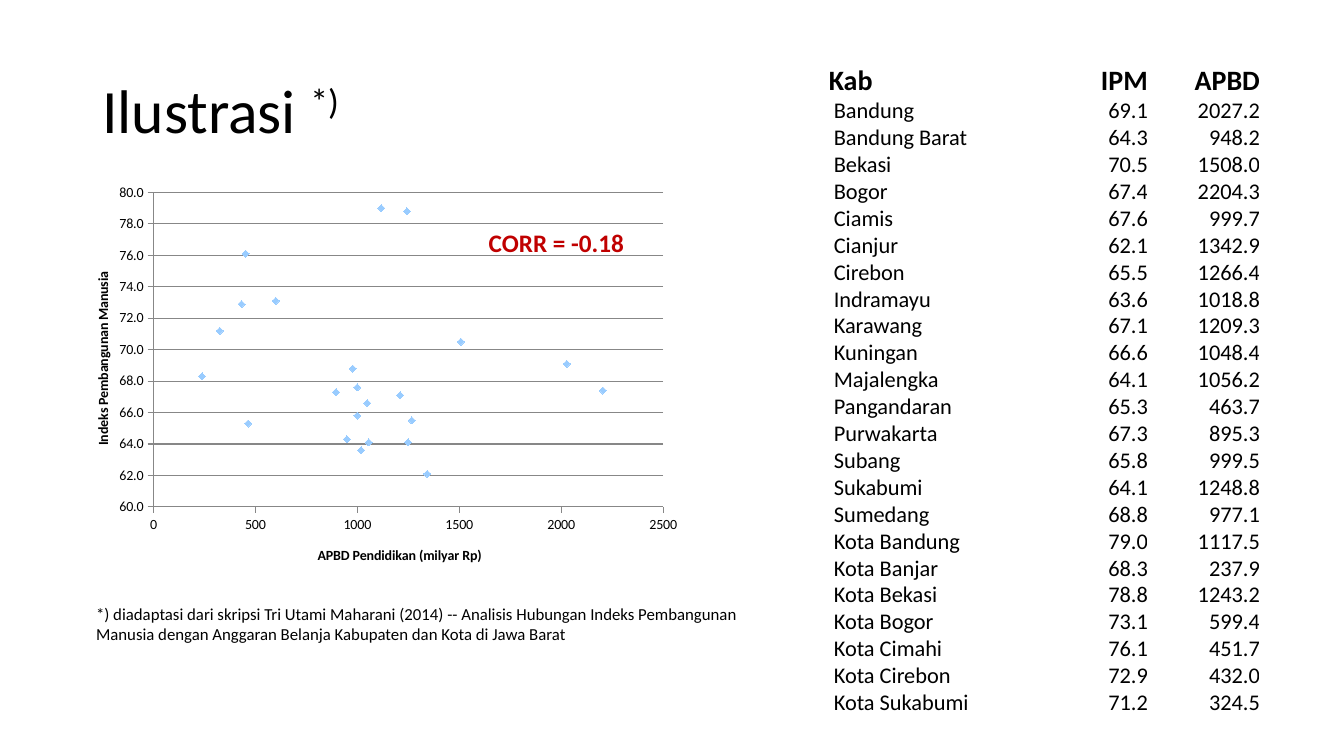
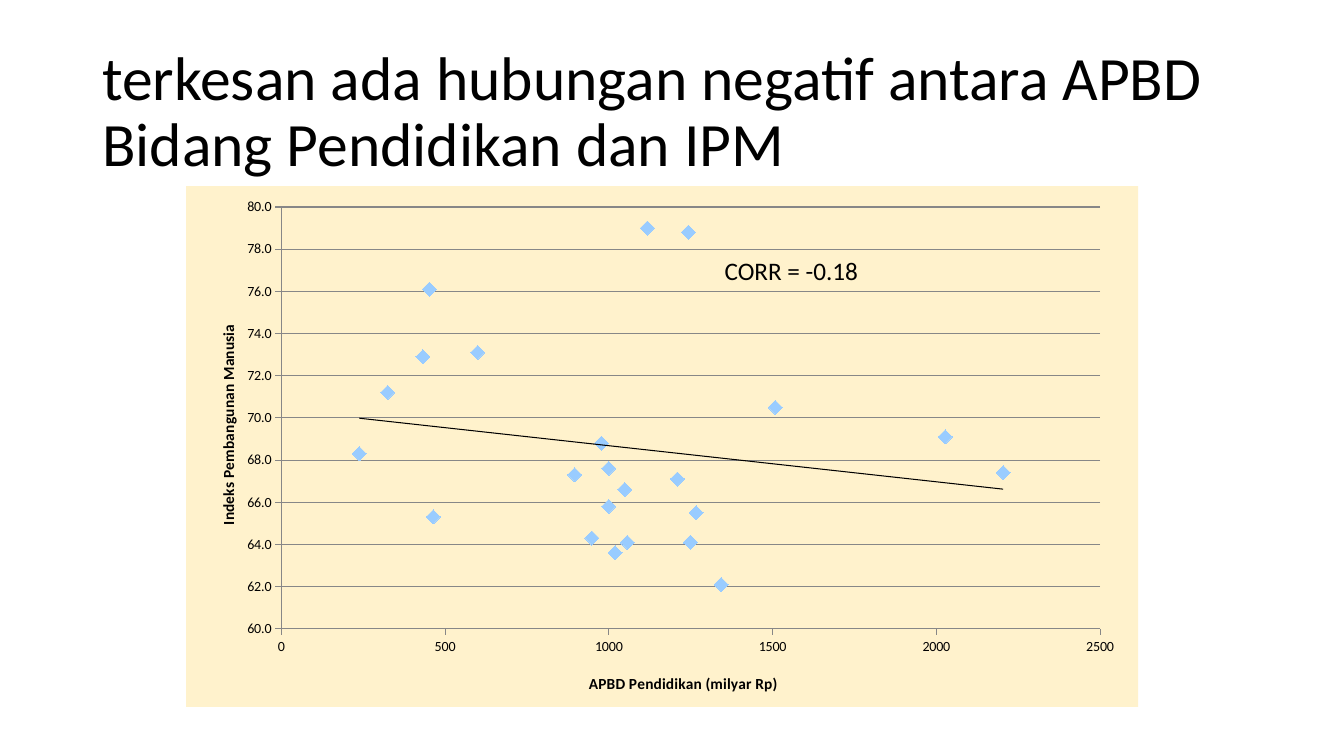
from collections import namedtuple

from lxml.etree import SubElement
from pptx import Presentation
from pptx.chart.data import XyChartData
from pptx.dml.color import RGBColor
from pptx.enum.chart import XL_CHART_TYPE, XL_MARKER_STYLE, XL_TICK_MARK
from pptx.enum.text import MSO_ANCHOR, PP_ALIGN
from pptx.oxml import parse_xml
from pptx.oxml.ns import nsdecls, qn
from pptx.util import Pt

Box = namedtuple("Box", "left top width height")
ChartStyle = namedtuple(
    "ChartStyle", "plot x_title y_title title_size marker_size fill trend")

FONT = "Calibri"
COLORS = {
    "text": "000000",
    "accent": "C00000",
    "point": "99CCFF",
    "grid": "878787",
    "cream": "FFF2CC",
}
TITLE_BOX = Box(66, 29, 828, 104)
HEADER = ("Kab", "IPM", "APBD")
REGIONS = [
    ("Bandung", 69.1, 2027.2),
    ("Bandung Barat", 64.3, 948.2),
    ("Bekasi", 70.5, 1508.0),
    ("Bogor", 67.4, 2204.3),
    ("Ciamis", 67.6, 999.7),
    ("Cianjur", 62.1, 1342.9),
    ("Cirebon", 65.5, 1266.4),
    ("Indramayu", 63.6, 1018.8),
    ("Karawang", 67.1, 1209.3),
    ("Kuningan", 66.6, 1048.4),
    ("Majalengka", 64.1, 1056.2),
    ("Pangandaran", 65.3, 463.7),
    ("Purwakarta", 67.3, 895.3),
    ("Subang", 65.8, 999.5),
    ("Sukabumi", 64.1, 1248.8),
    ("Sumedang", 68.8, 977.1),
    ("Kota Bandung", 79.0, 1117.5),
    ("Kota Banjar", 68.3, 237.9),
    ("Kota Bekasi", 78.8, 1243.2),
    ("Kota Bogor", 73.1, 599.4),
    ("Kota Cimahi", 76.1, 451.7),
    ("Kota Cirebon", 72.9, 432.0),
    ("Kota Sukabumi", 71.2, 324.5),
]
SMALL_CHART = ChartStyle(
    plot=(0.14, 0.04, 0.82, 0.78), x_title=(0.4, 0.91), y_title=(0.04, 0.23),
    title_size=10, marker_size=5, fill=None, trend=False)
LARGE_CHART = ChartStyle(
    plot=(0.1, 0.04, 0.86, 0.81), x_title=(0.42, 0.93), y_title=(0.03, 0.26),
    title_size=11, marker_size=10, fill="cream", trend=True)


def rgb(name):
    return RGBColor.from_string(COLORS[name])


def points(box):
    return [Pt(length) for length in box]


def style_font(font, size, color="text", bold=False):
    font.name = FONT
    font.size = Pt(size)
    font.bold = bold
    font.color.rgb = rgb(color)


def add_text(slide, box, text, size, color="text", bold=False):
    frame = slide.shapes.add_textbox(*points(box)).text_frame
    frame.word_wrap = True
    frame.text = text
    style_font(frame.paragraphs[0].runs[0].font, size, color, bold)
    return frame


def add_title(slide, box, text, mark=None):
    frame = add_text(slide, box, text, 44)
    frame.vertical_anchor = MSO_ANCHOR.MIDDLE
    paragraph = frame.paragraphs[0]
    paragraph.line_spacing = 0.9
    if mark:
        superscript = paragraph.add_run()
        superscript.text = mark
        style_font(superscript.font, 44)
        superscript.font._element.set("baseline", "30000")


def set_layout(parent, index, place, inner=False):
    layout = parent.find(qn("c:layout"))
    if layout is None:
        layout = parse_xml(f"<c:layout {nsdecls('c')}/>")
        parent.insert(index, layout)
    manual = SubElement(layout, qn("c:manualLayout"))
    settings = [("layoutTarget", "inner")] if inner else []
    settings += [("xMode", "edge"), ("yMode", "edge")]
    settings += zip("xywh", place)
    for tag, value in settings:
        SubElement(manual, qn(f"c:{tag}")).set("val", str(value))


def style_axis(axis, title, size, place, scale, number_format):
    axis.minimum_scale, axis.maximum_scale, axis.major_unit = scale
    axis.major_tick_mark = XL_TICK_MARK.OUTSIDE
    axis.minor_tick_mark = XL_TICK_MARK.NONE
    axis.tick_labels.number_format = number_format
    axis.tick_labels.number_format_is_linked = False
    axis.format.line.color.rgb = rgb("grid")
    axis.format.line.width = Pt(0.75)
    frame = axis.axis_title.text_frame
    frame.text = title
    style_font(frame.paragraphs[0].runs[0].font, size, bold=True)
    set_layout(axis.axis_title._element, 1, place)


def add_trend_line(series):
    series._element.find(qn("c:xVal")).addprevious(parse_xml(
        f"<c:trendline {nsdecls('c', 'a')}><c:spPr><a:ln w='9525'><a:solidFill>"
        f"<a:srgbClr val='{COLORS['text']}'/></a:solidFill></a:ln></c:spPr>"
        "<c:trendlineType val='linear'/><c:dispRSqr val='0'/>"
        "<c:dispEq val='0'/></c:trendline>"))


def fill_chart(chart, color):
    fill = "<a:noFill/>"
    if color:
        fill = f"<a:solidFill><a:srgbClr val='{COLORS[color]}'/></a:solidFill>"
    chart._chartSpace.find(qn("c:txPr")).addprevious(parse_xml(
        f"<c:spPr {nsdecls('c', 'a')}>{fill}<a:ln><a:noFill/></a:ln></c:spPr>"))


def add_scatter(slide, box, style):
    data = XyChartData()
    index_points = data.add_series("Series 1")
    for _, index, budget in REGIONS:
        index_points.add_data_point(budget, index)
    chart = slide.shapes.add_chart(
        XL_CHART_TYPE.XY_SCATTER, *points(box), data).chart
    chart.has_legend = False
    chart.has_title = False
    style_font(chart.font, 10)
    fill_chart(chart, style.fill)
    set_layout(chart._chartSpace.chart.plotArea, 0, style.plot, inner=True)
    style_axis(chart.category_axis, "APBD Pendidikan (milyar Rp)",
               style.title_size, style.x_title, (0, 2500, 500), "0")
    style_axis(chart.value_axis, "Indeks Pembangunan Manusia",
               style.title_size, style.y_title, (60, 80, 2), "0.0")
    chart.category_axis.has_major_gridlines = False
    chart.value_axis.has_major_gridlines = True
    grid_line = chart.value_axis.major_gridlines.format.line
    grid_line.color.rgb = rgb("grid")
    grid_line.width = Pt(0.75)
    plot = chart.plots[0]
    plot.vary_by_categories = False
    series = plot.series[0]
    series.format.line.fill.background()
    series.marker.style = XL_MARKER_STYLE.DIAMOND
    series.marker.size = style.marker_size
    series.marker.format.fill.solid()
    series.marker.format.fill.fore_color.rgb = rgb("point")
    series.marker.format.line.fill.background()
    if style.trend:
        add_trend_line(series)


def add_correlation(slide, chart_box, dx, dy, color="text", bold=False):
    box = Box(chart_box.left + dx, chart_box.top + dy, 138, 29)
    add_text(slide, box, "CORR = -0.18", 18, color, bold)


def add_region_table(slide, box):
    rows = [HEADER] + [(name, f"{index:.1f}", f"{budget:.1f}")
                       for name, index, budget in REGIONS]
    table = slide.shapes.add_table(len(rows), len(HEADER), *points(box)).table
    table.first_row = False
    table.horz_banding = False
    for column, share in zip(table.columns, (0.49, 0.25, 0.26)):
        column.width = Pt(box.width * share)
    header_height = 24
    row_height = (box.height - header_height) / len(REGIONS)
    for r, values in enumerate(rows):
        is_header = r == 0
        table.rows[r].height = Pt(header_height if is_header else row_height)
        for c, value in enumerate(values):
            cell = table.cell(r, c)
            cell.fill.background()
            cell.margin_left = Pt(3.6 if c == 0 and not is_header else 0)
            cell.margin_right = cell.margin_top = cell.margin_bottom = 0
            cell.vertical_anchor = MSO_ANCHOR.BOTTOM
            cell.text_frame.text = value
            paragraph = cell.text_frame.paragraphs[0]
            paragraph.alignment = PP_ALIGN.RIGHT if c else PP_ALIGN.LEFT
            style_font(paragraph.runs[0].font, 20 if is_header else 16,
                       bold=is_header)


def build_illustration(slide):
    chart_box = Box(47.5, 126, 444, 288)
    add_title(slide, TITLE_BOX, "Ilustrasi ", "*)")
    add_scatter(slide, chart_box, SMALL_CHART)
    add_correlation(slide, chart_box, 294.5, 32.5, "accent", True)
    add_text(slide, Box(61.5, 427.5, 480, 36),
             "*) diadaptasi dari skripsi Tri Utami Maharani (2014) -- Analisis "
             "Hubungan Indeks Pembangunan Manusia dengan Anggaran Belanja "
             "Kabupaten dan Kota di Jawa Barat", 12)
    add_region_table(slide, Box(592, 45.5, 308, 465.6))


def build_relation(slide):
    chart_box = Box(133, 133, 680, 372)
    add_title(slide, TITLE_BOX, "terkesan ada hubungan negatif antara APBD "
              "Bidang Pendidikan dan IPM")
    add_scatter(slide, chart_box, LARGE_CHART)
    add_correlation(slide, chart_box, 377.5, 46)


def main():
    deck = Presentation()
    deck.slide_width, deck.slide_height = Pt(960), Pt(540)
    for build in (build_illustration, build_relation):
        build(deck.slides.add_slide(deck.slide_layouts[6]))
    deck.save("out.pptx")


if __name__ == "__main__":
    main()
